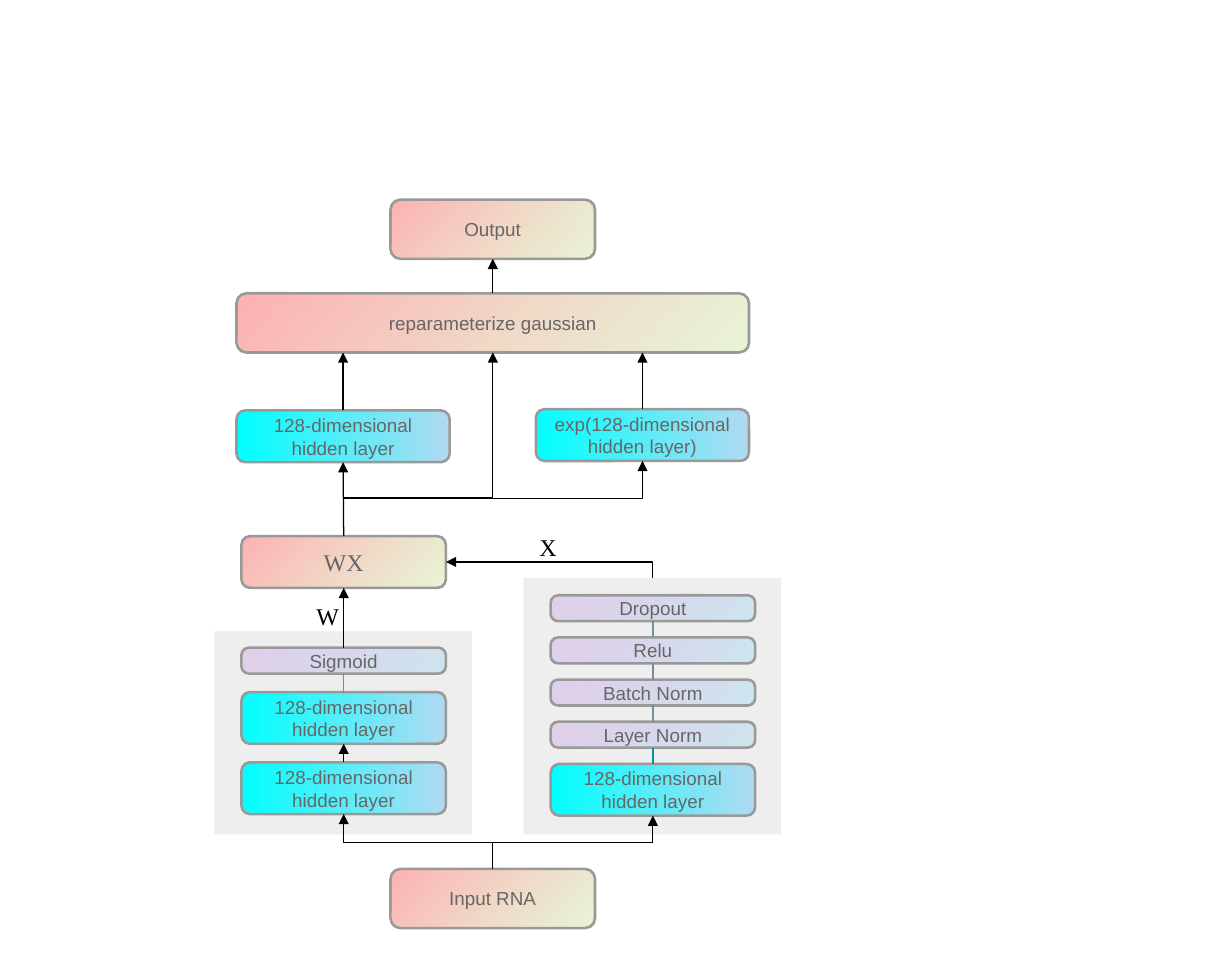
from lxml import etree
from pptx import Presentation
from pptx import util as u
from pptx.dml.color import RGBColor
from pptx.enum import shapes, text
from pptx.oxml.ns import qn

COLORS = {"panel": "EEEEEE", "edge": "999999", "label": "666666", "ink": "000000",
          "slate": "748D99", "teal": "0094A3"}
GRADIENTS = {
    "block": (135, 0.167, [("D8EDBA", 58), ("FE9696", 74)]),
    "hidden": (0, 0.167, [("00FFFF", 100), ("B0DAF1", 100)]),
    "step": (135, 0.285, [("69D4F4", 26), ("9F39D5", 17)]),
}
HEIGHTS = {"hidden": 4.2, "step": 2.1}
HIDDEN = "128-dimensional hidden layer"


def grid(n):
    """Turn grid columns or rows, a tenth of an inch each, into a length."""
    return u.Inches(n / 10)


def rgb(name):
    """Look up a named colour."""
    return RGBColor.from_string(COLORS[name])


def style_text(sp, label, size, font, color):
    """Set the text of a shape and format its run."""
    sp.text_frame.word_wrap = True
    sp.text_frame.text = label
    r = sp.text_frame.paragraphs[0].runs[0]
    r.font.size, r.font.name, r.font.color.rgb = u.Pt(size), font, rgb(color)


def add_box(s, box, label, kind, size=11, font="Arial"):
    """Add a rounded gradient box with a centred label."""
    sp = s.shapes.add_shape(shapes.MSO_SHAPE.ROUNDED_RECTANGLE, *map(grid, box))
    angle, sp.adjustments[0], stops = GRADIENTS[kind]
    sp.shadow.inherit = False
    sp.fill.gradient()
    sp.fill.gradient_angle = angle
    for stop, (color, _) in zip(sp.fill.gradient_stops, stops):
        stop.color.rgb = RGBColor.from_string(color)
    fill = sp.element.spPr.find(qn("a:gradFill"))
    for node, (_, alpha) in zip(fill.iter(qn("a:srgbClr")), stops):
        etree.SubElement(node, qn("a:alpha")).set("val", str(alpha * 1000))
    sp.line.color.rgb, sp.line.width = rgb("edge"), u.Pt(1.5)
    style_text(sp, label, size, font, "label")
    tf = sp.text_frame
    tf.margin_left = tf.margin_right = tf.margin_top = tf.margin_bottom = grid(1)
    tf.vertical_anchor = text.MSO_ANCHOR.MIDDLE
    tf.paragraphs[0].alignment = text.PP_ALIGN.CENTER
    return sp


def add_caption(s, left, top, label):
    """Add a letter beside an arrow."""
    sp = s.shapes.add_textbox(*map(grid, (left, top, 3.8, 3.4)))
    style_text(sp, label, 14, "Times New Roman", "ink")


def style_line(line, color="ink", arrow=True):
    """Give a connector its colour, width and arrowhead."""
    line.line.color.rgb, line.line.width = rgb(color), u.Pt(0.75)
    pr = line.element.spPr
    if arrow:
        etree.SubElement(pr.find(qn("a:ln")), qn("a:tailEnd")).set("type", "triangle")
    etree.SubElement(pr, qn("a:effectLst"))


def link_up(s, lower, upper, color="ink", arrow=True):
    """Join the top of one box to the bottom of the box above it."""
    line = s.shapes.add_connector(shapes.MSO_CONNECTOR.STRAIGHT, 0, 0, 0, 0)
    line.begin_connect(lower, 0)
    line.end_connect(upper, 2)
    style_line(line, color, arrow)


def rise(s, lower, upper, x):
    """Draw an arrow straight up at a given column between two boxes."""
    line = s.shapes.add_connector(shapes.MSO_CONNECTOR.STRAIGHT, x, lower.top,
                                  x, upper.top + upper.height)
    line.begin_connect(lower, 0)
    style_line(line)


def middle(sp):
    """Return the horizontal centre of a shape."""
    return sp.left + sp.width // 2


def elbow(s, start, end, turn=0.5, preset="bentConnector3"):
    """Draw a bent arrow that leaves upwards from its start."""
    (x1, y1), (x2, y2) = start, end
    cx, cy, w, h = (x1 + x2) // 2, (y1 + y2) // 2, abs(y2 - y1), abs(x2 - x1)
    left, top = cx - w // 2, cy - h // 2
    line = s.shapes.add_connector(shapes.MSO_CONNECTOR.ELBOW, left, top, left + w, top + h)
    xfrm = line.element.spPr.find(qn("a:xfrm"))
    xfrm.set("flipV", "1")
    if x2 > x1:
        xfrm.set("flipH", "1")
    xfrm.set("rot", str((90 if x2 > x1 else 270) * 60000))
    geom = line.element.spPr.find(qn("a:prstGeom"))
    geom.set("prst", preset)
    if turn != 0.5:
        guide = etree.SubElement(geom.find(qn("a:avLst")), qn("a:gd"))
        guide.set("name", "adj1")
        guide.set("fmla", f"val {round(turn * 100000)}")
    style_line(line)


def add_branch(s, box, layers, pad, gap):
    """Stack layers in a grey panel, linking each one to the layer above."""
    left, top, width, height = box
    panel = s.shapes.add_shape(shapes.MSO_SHAPE.RECTANGLE, *map(grid, box))
    panel.shadow.inherit = False
    panel.fill.solid()
    panel.fill.fore_color.rgb = rgb("panel")
    panel.line.fill.background()
    stack, y = [], top + pad
    for label, kind, color in layers:
        sp = add_box(s, (left + 2.2, y, width - 4.3, HEIGHTS[kind]), label, kind)
        if stack:
            link_up(s, sp, stack[-1], color, color == "ink")
        stack.append(sp)
        y += HEIGHTS[kind] + gap
    return panel, stack[0], stack[-1]


def add_sampler(s, box):
    """Add the output, the sampling bar and the two hidden layers below it."""
    left, top, width, height = box
    output = add_box(s, (left + (width - 16.6) / 2, top, 16.6, 4.8), "Output", "block")
    bar = add_box(s, (left, top + 7.6, width, 4.8), "reparameterize gaussian", "block")
    mean = add_box(s, (left, top + height - 4.2, 17.3, 4.2), HIDDEN, "hidden")
    spread = add_box(s, (left + width - 17.3, top + height - 4.3, 17.3, 4.2),
                     "exp(128-dimensional hidden layer)", "hidden")
    link_up(s, bar, output)
    for sp in (mean, spread):
        rise(s, sp, bar, middle(sp))
    return bar, mean, spread


def add_network(s):
    """Place the regions and join them with arrows."""
    source = add_box(s, (31.7, 70.5, 16.6, 4.8), "Input RNA", "block")
    product = add_box(s, (19.6, 43.5, 16.6, 4.2), "WX", "block", 14, "Times New Roman")
    panel, _, right = add_branch(s, (42.5, 46.9, 20.9, 20.8), [
        ("Dropout", "step", None), ("Relu", "step", "slate"),
        ("Batch Norm", "step", "slate"), ("Layer Norm", "step", "slate"),
        (HIDDEN, "hidden", "teal")], 1.4, 1.32)
    _, gate, left = add_branch(s, (17.4, 51.2, 20.9, 16.5), [
        ("Sigmoid", "step", None), (HIDDEN, "hidden", "slate"),
        (HIDDEN, "hidden", "ink")], 1.35, 1.5)
    bar, mean, spread = add_sampler(s, (19.2, 16.2, 41.6, 21.3))
    add_caption(s, 42.8, 42.7, "X")
    add_caption(s, 24.7, 48.3, "W")
    link_up(s, gate, product)
    link_up(s, product, mean)
    elbow(s, (middle(panel), panel.top),
          (product.left + product.width, product.top + product.height // 2),
          preset="bentConnector2")
    for start, target, turn in ((product, spread, 0.5), (product, bar, 0.21),
                                (source, right, 0.5), (source, left, 0.48)):
        elbow(s, (middle(start), start.top),
              (middle(target), target.top + target.height), turn)


def main():
    """Build and save the slide."""
    prs = Presentation()
    prs.slide_width, prs.slide_height = grid(100), grid(78.7)
    add_network(prs.slides.add_slide(prs.slide_layouts[6]))
    prs.save("out.pptx")


if __name__ == "__main__":
    main()
